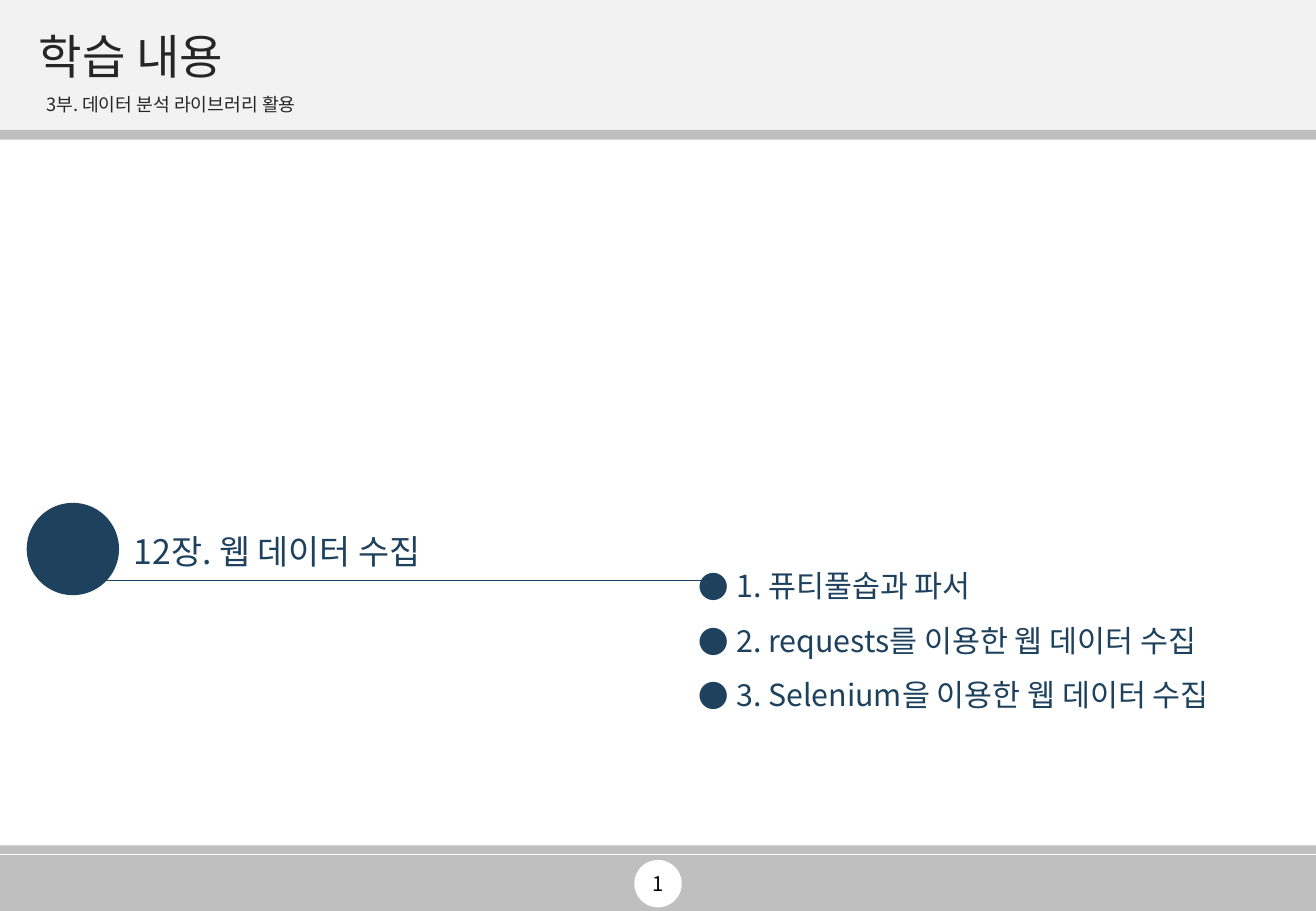
from lxml.etree import SubElement
from pptx import Presentation
from pptx.dml.color import RGBColor
from pptx.enum.shapes import MSO_CONNECTOR as Connector, MSO_SHAPE as Preset
from pptx.enum.text import MSO_ANCHOR as Anchor, MSO_AUTO_SIZE as AutoSize, PP_ALIGN as Align
from pptx.oxml.ns import qn
from pptx.util import Inches, Pt

COLORS = {
    "navy": "1E415D",
    "gray": "BFBFBF",
    "light": "F2F2F2",
    "white": "FFFFFF",
    "dark": "262626",
    "black": "000000",
}
FONT = "Noto Sans CJK KR"
COLUMNS, ROWS = 108.3, 75
WIDTH, HEIGHT = Inches(10.83), Inches(7.5)
CHAPTER_LINE = 47.8


def color(name):
    return RGBColor.from_string(COLORS[name])


def apply(target, values):
    for name, value in values.items():
        setattr(target, name, value)


class SlideBuilder:
    def __init__(self, presentation):
        self.slide = presentation.slides.add_slide(presentation.slide_layouts[5])
        self.shapes = self.slide.shapes

    def place(self, column, row, columns, rows):
        return (
            round(column * WIDTH / COLUMNS),
            round(row * HEIGHT / ROWS),
            round(columns * WIDTH / COLUMNS),
            round(rows * HEIGHT / ROWS),
        )

    def block(self, preset, box, fill):
        shape = self.shapes.add_shape(preset, *self.place(*box))
        shape.shadow.inherit = False
        shape.fill.solid()
        shape.fill.fore_color.rgb = color(fill)
        shape.line.fill.background()

    def fill_text(self, frame, lines, size, ink, frame_format=None, paragraph_format=None, bullet=None):
        apply(frame, {"word_wrap": True, **(frame_format or {})})
        for index, line in enumerate(lines):
            paragraph = frame.paragraphs[0] if index == 0 else frame.add_paragraph()
            apply(paragraph, paragraph_format or {})
            run = paragraph.add_run()
            run.text = line
            apply(run.font, {"size": Pt(size), "name": FONT})
            run.font.color.rgb = color(ink)
            SubElement(run.font._element, qn("a:ea"), typeface=FONT)
            if bullet:
                properties = paragraph._p.get_or_add_pPr()
                properties.set("marL", str(Inches(0.31)))
                properties.set("indent", str(Inches(-0.31)))
                SubElement(properties, qn("a:buFont"), typeface=FONT)
                SubElement(properties, qn("a:buChar"), char=bullet)

    def text(self, box, lines, size, ink, **formats):
        frame = self.shapes.add_textbox(*self.place(*box)).text_frame
        self.fill_text(frame, lines, size, ink, **formats)

    def title(self, box, line, size, ink, **formats):
        title = self.shapes.title
        apply(title, dict(zip(("left", "top", "width", "height"), self.place(*box))))
        self.shapes._spTree.append(title._element)
        self.fill_text(title.text_frame, [line], size, ink, **formats)

    def dotted_end_line(self, start, end, row, ink):
        left, top, length, _ = self.place(start, row, end - start, 0)
        connector = self.shapes.add_connector(Connector.STRAIGHT, left, top, left + length, top)
        connector.line.width = Pt(1)
        connector.line.color.rgb = color(ink)
        SubElement(connector.line._get_or_add_ln(), qn("a:tailEnd"), type="oval")
        SubElement(connector._element.spPr, qn("a:effectLst"))


def main():
    presentation = Presentation()
    apply(presentation, {"slide_width": WIDTH, "slide_height": HEIGHT})
    builder = SlideBuilder(presentation)

    for top, rows, fill in (
        (0, 10.7, "light"),
        (10.7, 0.8, "gray"),
        (69.6, 0.7, "gray"),
        (70.4, 4.6, "gray"),
    ):
        builder.block(Preset.RECTANGLE, (0, top, COLUMNS, rows), fill)
    builder.block(Preset.OVAL, (52.2, 70.8, 3.9, 3.9), "white")

    builder.text((10, 43.2, 48.2, 4.4), ["12장. 웹 데이터 수집"], 20, "navy",
                 frame_format={"auto_size": AutoSize.SHAPE_TO_FIT_TEXT})
    builder.block(Preset.OVAL, (2.2, 41.4, 7.6, 7.6), "navy")
    builder.dotted_end_line(7.9, 58.3, CHAPTER_LINE, "navy")
    builder.text(
        (56.5, 44.7, 51.8, 14.6),
        ["1. 퓨티풀솝과 파서", "2. requests를 이용한 웹 데이터 수집", "3. Selenium을 이용한 웹 데이터 수집"],
        18, "navy", bullet="●",
        frame_format={"auto_size": AutoSize.SHAPE_TO_FIT_TEXT},
        paragraph_format={"line_spacing": 1.5},
    )

    builder.text((42, 70.8, 24.4, 3.9), ["1"], 12, "black",
                 frame_format={"vertical_anchor": Anchor.MIDDLE},
                 paragraph_format={"alignment": Align.CENTER})
    builder.title((2.2, 2.1, 103.9, 5.5), "학습 내용", 28, "dark",
                  frame_format={"vertical_anchor": Anchor.MIDDLE, "auto_size": AutoSize.NONE},
                  paragraph_format={"alignment": Align.LEFT, "line_spacing": 0.9})
    builder.text((3, 7.6, 103.2, 2.4), ["3부. 데이터 분석 라이브러리 활용"], 10.8, "dark",
                 frame_format={"vertical_anchor": Anchor.MIDDLE, "margin_left": Inches(0.08)},
                 paragraph_format={"line_spacing": 0.7, "space_before": Pt(8.1)})

    presentation.save("out.pptx")


if __name__ == "__main__":
    main()
